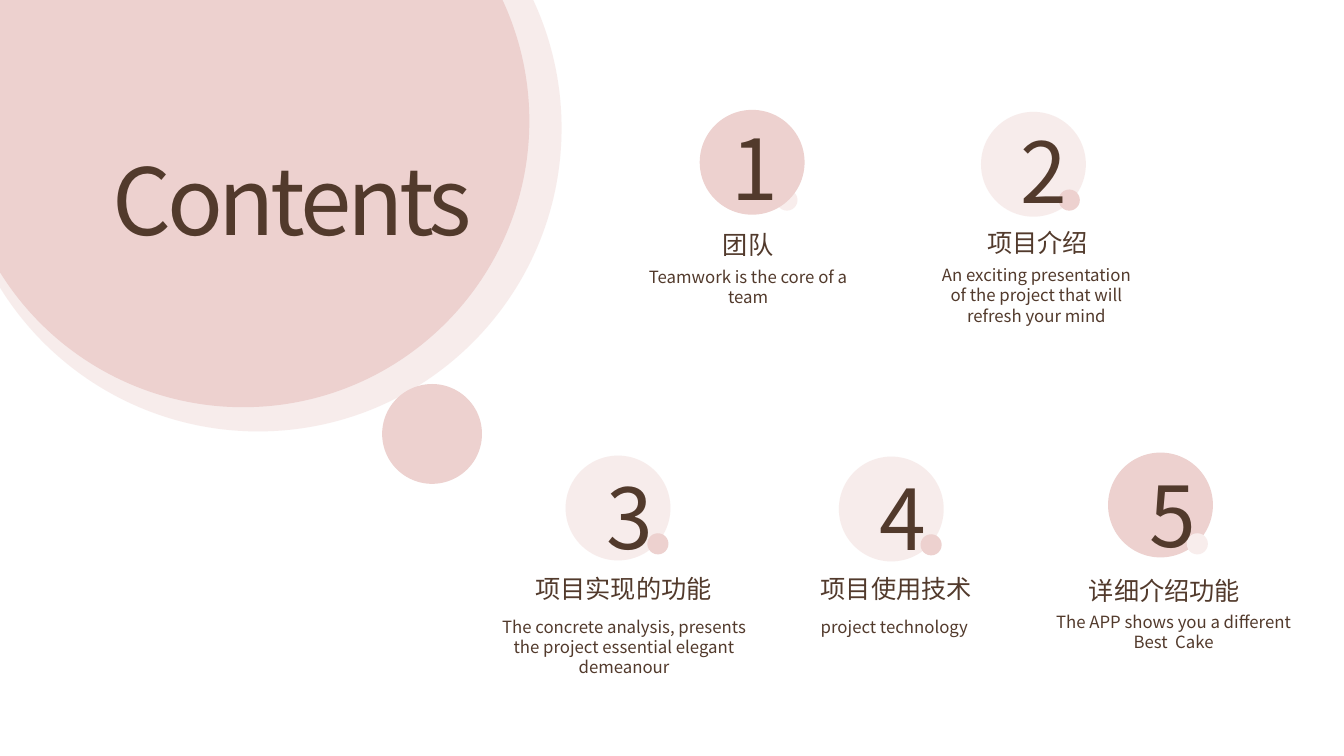
import math
from dataclasses import dataclass

import lxml.etree
import pptx
import pptx.dml.color
import pptx.enum.shapes
import pptx.enum.text
import pptx.oxml.ns
import pptx.util
from pptx.util import Inches

ROSE = pptx.dml.color.RGBColor(0xED, 0xD1, 0xCF)
PALE = pptx.dml.color.RGBColor(0xF8, 0xED, 0xEC)
BLUSH = pptx.dml.color.RGBColor(0xF6, 0xE8, 0xE7)
BROWN = pptx.dml.color.RGBColor(0x52, 0x3A, 0x2C)
FONT = "Noto Sans CJK SC"


@dataclass
class Topic:
    number: str
    title: str
    summary: str
    circle: tuple
    dot: tuple
    number_at: tuple
    title_box: tuple
    summary_box: tuple
    rose_circle: bool = False
    dot_behind: bool = False


TOPICS = [
    Topic("1", "团队", "Teamwork is the core of a team",
          (6.94, 1.09), (7.7, 1.88), (7.16, 1.13),
          (7.07, 2.23, 0.7, 0.4), (6.32, 2.6, 2.2, 0.5),
          rose_circle=True, dot_behind=True),
    Topic("2", "项目介绍",
          "An exciting presentation of the project that will refresh your mind",
          (9.73, 1.11), (10.5, 1.88), (10.02, 1.16),
          (9.69, 2.21, 1.2, 0.4), (9.18, 2.58, 2.2, 0.71)),
    Topic("3", "项目实现的功能",
          "The concrete analysis, presents the project essential elegant demeanour",
          (5.61, 4.52), (6.42, 5.29), (5.92, 4.59),
          (5.21, 5.64, 1.95, 0.4), (4.84, 6.07, 2.7, 0.71)),
    Topic("4", "项目使用技术", "project technology ",
          (8.32, 4.53), (9.13, 5.3), (8.62, 4.6),
          (8.04, 5.64, 1.7, 0.4), (7.54, 6.07, 2.7, 0.3)),
    Topic("5", "详细介绍功能", "The APP shows you a different Best  Cake",
          (10.99, 4.49), (11.77, 5.29), (11.3, 4.57),
          (10.7, 5.66, 1.7, 0.4), (10.29, 6.02, 2.7, 0.5),
          rose_circle=True),
]


def paint(shape, color, opacity=100):
    shape.shadow.inherit = False
    shape.line.fill.background()
    shape.fill.solid()
    shape.fill.fore_color.rgb = color
    if opacity < 100:
        color_element = shape.element.spPr.find(
            pptx.oxml.ns.qn("a:solidFill") + "/" + pptx.oxml.ns.qn("a:srgbClr"))
        alpha = lxml.etree.SubElement(color_element, pptx.oxml.ns.qn("a:alpha"))
        alpha.set("val", str(opacity * 1000))


def add_circle(slide, position, diameter, color, opacity=100):
    left, top = position
    circle = slide.shapes.add_shape(
        pptx.enum.shapes.MSO_SHAPE.OVAL,
        Inches(left), Inches(top), Inches(diameter), Inches(diameter))
    paint(circle, color, opacity)


def bend(line, controls):
    curve = lxml.etree.Element(pptx.oxml.ns.qn("a:cubicBezTo"))
    for x, y in controls:
        point = lxml.etree.SubElement(curve, pptx.oxml.ns.qn("a:pt"))
        point.set("x", str(Inches(x)))
        point.set("y", str(Inches(y)))
    curve.append(line[0])
    line.getparent().replace(line, curve)


def add_corner_disc(slide, center_x, center_y, radius, color, opacity=100):
    def locate(angle, tangent=0):
        return (center_x + radius * (math.cos(angle) - tangent * math.sin(angle)),
                center_y + radius * (math.sin(angle) + tangent * math.cos(angle)))

    angles = [-math.asin(center_y / radius), 0, math.pi / 2,
              math.acos(-center_x / radius)]
    vertices = [[Inches(value) for value in locate(angle)] for angle in angles]
    builder = slide.shapes.build_freeform(0, 0)
    builder.add_line_segments(vertices, close=True)
    disc = builder.convert_to_shape()
    lines = list(disc.element.iter(pptx.oxml.ns.qn("a:lnTo")))
    for line, start, end in zip(lines[1:], angles, angles[1:]):
        handle = 4 / 3 * math.tan((end - start) / 4)
        bend(line, [locate(start, handle), locate(end, -handle)])
    paint(disc, color, opacity)


def add_text(slide, box, text, size, wrap=True, grow=False, spacing=0):
    text_box = slide.shapes.add_textbox(*[Inches(value) for value in box])
    frame = text_box.text_frame
    frame.word_wrap = wrap
    if grow:
        frame.auto_size = pptx.enum.text.MSO_AUTO_SIZE.SHAPE_TO_FIT_TEXT
    else:
        frame.vertical_anchor = pptx.enum.text.MSO_ANCHOR.MIDDLE
    paragraph = frame.paragraphs[0]
    paragraph.alignment = pptx.enum.text.PP_ALIGN.CENTER
    run = paragraph.add_run()
    run.text = text
    run.font.size = pptx.util.Pt(size)
    run.font.name = FONT
    run.font.color.rgb = BROWN
    properties = next(text_box.element.iter(pptx.oxml.ns.qn("a:rPr")))
    east_asian = lxml.etree.SubElement(properties, pptx.oxml.ns.qn("a:ea"))
    east_asian.set("typeface", FONT)
    if spacing:
        properties.set("spc", str(spacing * 100))


def add_topic(slide, topic):
    if topic.rose_circle:
        circle = (topic.circle, 1.04, ROSE)
        dot = (topic.dot, 0.21, PALE)
    else:
        circle = (topic.circle, 1.04, BLUSH, 80)
        dot = (topic.dot, 0.21, ROSE)
    for disc in (dot, circle) if topic.dot_behind else (circle, dot):
        add_circle(slide, *disc)
    add_text(slide, (*topic.number_at, 0.47, 1.05), topic.number, 60)
    add_text(slide, topic.title_box, topic.title, 18, wrap=False, grow=True)
    add_text(slide, topic.summary_box, topic.summary, 12, grow=True)


def main():
    presentation = pptx.Presentation()
    presentation.slide_width = Inches(13.33)
    presentation.slide_height = Inches(7.5)
    slide = presentation.slides.add_slide(presentation.slide_layouts[6])
    add_corner_disc(slide, 2.56, 1.27, 3.01, BLUSH, 80)
    add_corner_disc(slide, 2.41, 1.2, 2.84, ROSE)
    add_circle(slide, (3.79, 3.81), 0.99, ROSE)
    add_text(slide, (-0.07, 1.51, 5.94, 0.93), "Contents", 66, spacing=-3)
    for topic in TOPICS:
        add_topic(slide, topic)
    presentation.save("out.pptx")


if __name__ == "__main__":
    main()
